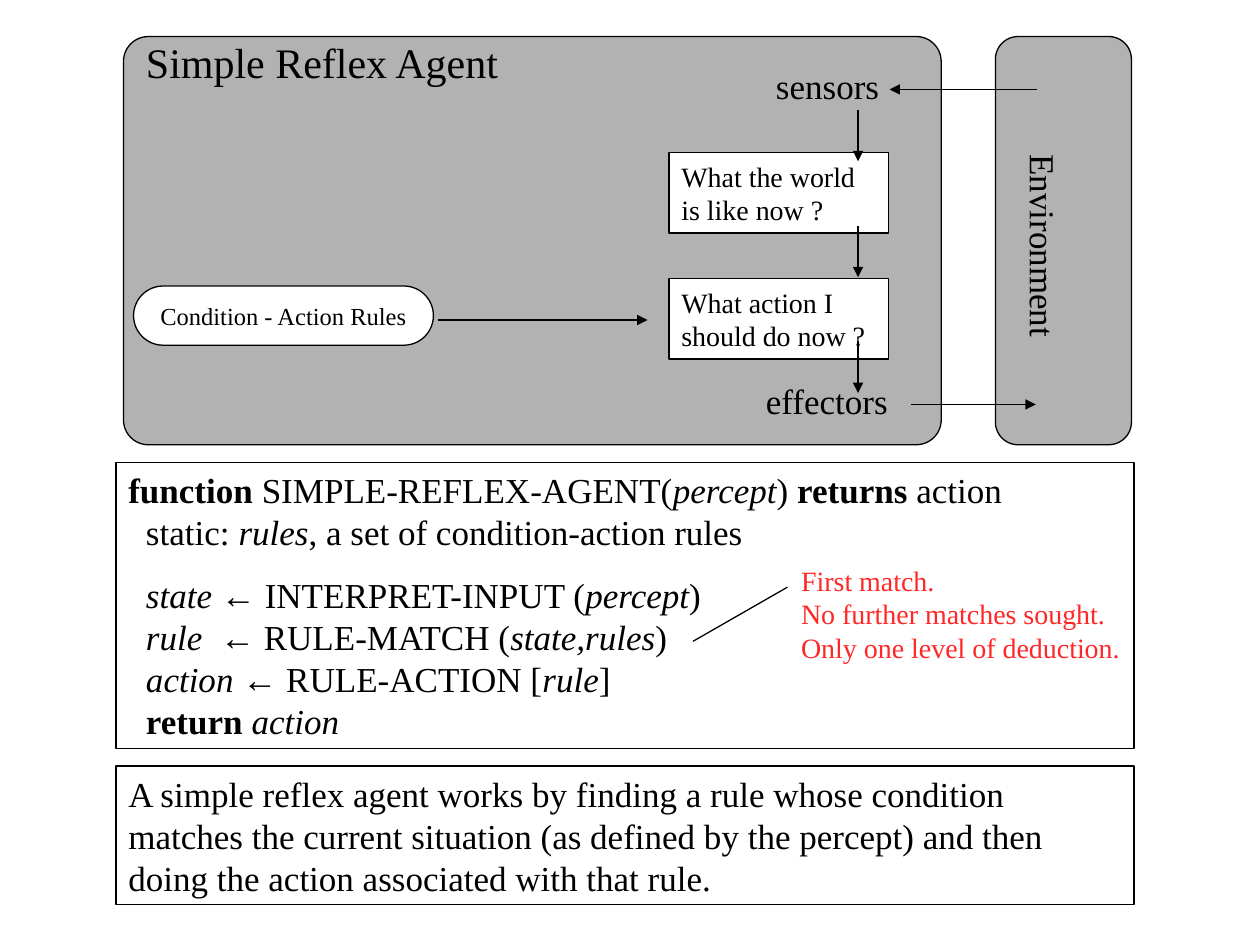
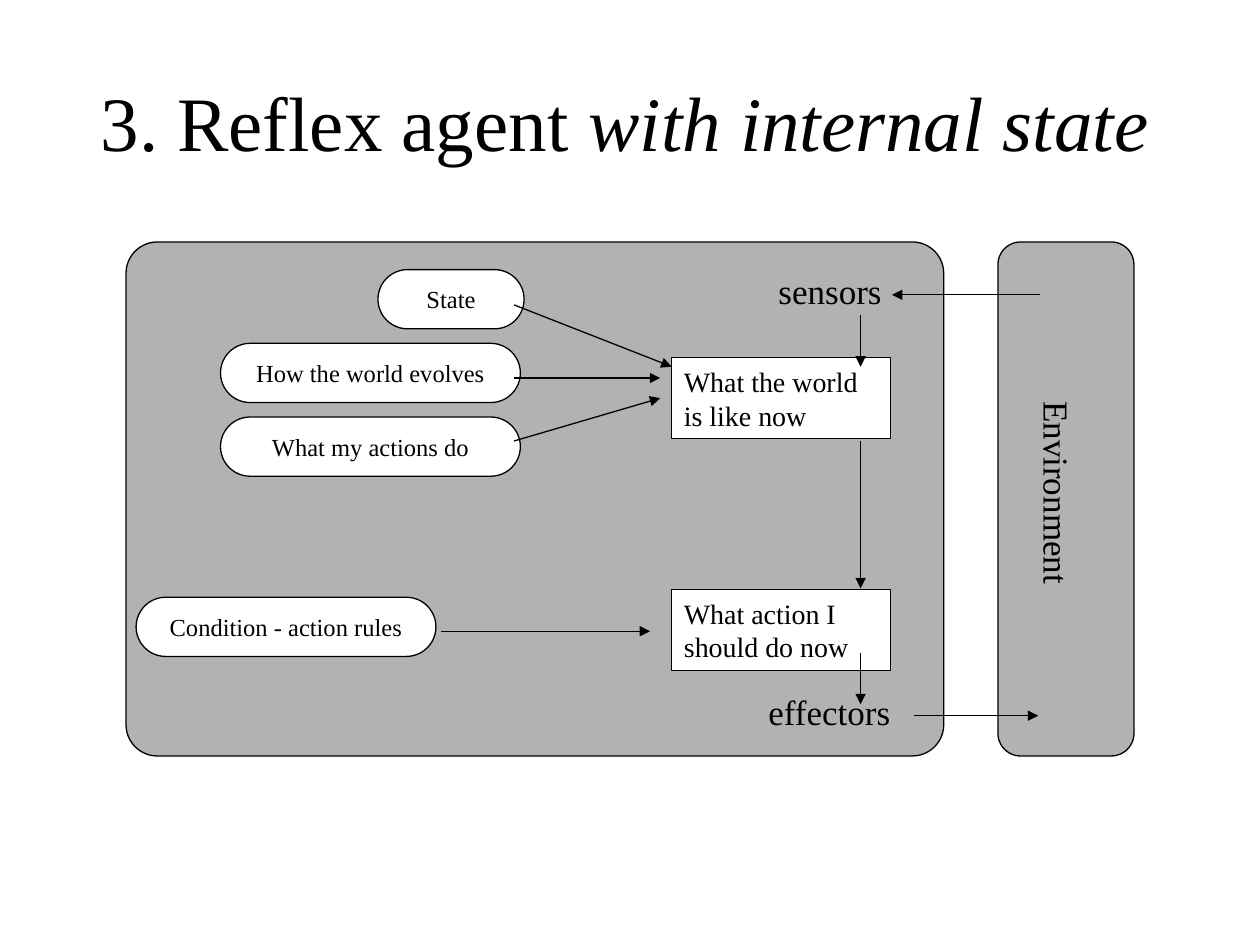
"""Build two slides about simple reflex agents and reflex agents with internal state."""
from lxml import etree
from pptx import Presentation
from pptx.dml.color import RGBColor
from pptx.enum.shapes import MSO_CONNECTOR, MSO_SHAPE
from pptx.enum.text import MSO_ANCHOR, PP_ALIGN
from pptx.oxml.ns import qn
from pptx.util import Inches, Pt

RECTANGLE, ROUNDED = MSO_SHAPE.RECTANGLE, MSO_SHAPE.ROUNDED_RECTANGLE
STRAIGHT = MSO_CONNECTOR.STRAIGHT
TOP, MIDDLE = MSO_ANCHOR.TOP, MSO_ANCHOR.MIDDLE
LEFT, CENTER = PP_ALIGN.LEFT, PP_ALIGN.CENTER

FONT, ARROW_FONT = "Times New Roman", "Arial"
BLACK, WHITE, GRAY, RED = "000000", "FFFFFF", "B2B2B2", "FF2727"
LINE_WIDTH = 0.75
PANEL_WIDTH, ENVIRONMENT_LEFT, ENVIRONMENT_WIDTH = 6.49, 6.92, 1.08
BOX_SIZE, PILL_SIZE, LABEL_HEIGHT = (1.74, 0.64), (2.38, 0.47), 0.44
CODE_INDENT, CODE_GAP = 0.14, 12

SIMPLE_AGENT = {
    "origin": (0.98, 0.29), "height": 3.24,
    "world": "What the world is like now ?",
    "action": "What action I should do now ?",
    "rules": "Condition - Action Rules",
    "decision_start": 1.5, "environment_center": (7.3, 1.66),
}
STATE_AGENT = {
    "origin": (1, 1.92), "height": 4.08,
    "world": "What the world is like now",
    "action": "What action I should do now",
    "rules": "Condition - action rules",
    "decision_start": 1.58, "environment_center": (7.39, 1.99),
}

BOLD, ITALIC, PLAIN, ARROW = "bold", "italic", "plain", "arrow"
FUNCTION_HEADER = [
    ("function", BOLD), (" SIMPLE-REFLEX-AGENT(", PLAIN), ("percept", ITALIC),
    (") ", PLAIN), ("returns", BOLD), (" action", PLAIN),
]
FUNCTION_BODY = [
    [("static: ", PLAIN), ("rules", ITALIC), (", a set of condition-action rules", PLAIN)],
    [("state ", ITALIC), ("←", ARROW), (" INTERPRET-INPUT (", PLAIN),
     ("percept", ITALIC), (")", PLAIN)],
    [("rule  ", ITALIC), ("←", ARROW), (" RULE-MATCH (", PLAIN),
     ("state,rules", ITALIC), (")", PLAIN)],
    [("action ", ITALIC), ("←", ARROW), (" RULE-ACTION [", PLAIN),
     ("rule", ITALIC), ("]", PLAIN)],
    [("return ", BOLD), ("action", ITALIC)],
]
SUMMARY = (
    "A simple reflex agent works by finding a rule whose condition matches the current "
    "situation (as defined by the percept) and then doing the action associated with that rule."
)
MATCH_NOTES = ["First match.", "No further matches sought.", "Only one level of deduction."]
TITLE = [("3. Reflex agent ", PLAIN), ("with internal state", ITALIC)]

KNOWLEDGE = [
    ("State", 3, 1.16),
    ("How the world evolves", 1.75, 2.38),
    ("What my actions do", 1.75, 2.38),
]
KNOWLEDGE_TOP, KNOWLEDGE_STEP = 2.14, 0.585
KNOWLEDGE_ARROWS = [
    ((4.08, 2.42), (5.33, 2.91)),
    ((4.08, 3), (5.24, 3)),
    ((4.08, 3.5), (5.24, 3.16)),
]


def color(value):
    return RGBColor.from_string(value)


def write(shape, lines, size, text_color=BLACK, align=LEFT, anchor=TOP, wrap=True):
    frame = shape.text_frame
    frame.word_wrap = wrap
    frame.vertical_anchor = anchor
    for index, line in enumerate(lines):
        paragraph = frame.paragraphs[0] if index == 0 else frame.add_paragraph()
        paragraph.alignment = align
        paragraph.font.name = FONT
        paragraph.font.size = Pt(size)
        paragraph.font.color.rgb = color(text_color)
        for text, style in [(line, PLAIN)] if isinstance(line, str) else line:
            run = paragraph.add_run()
            run.text = text
            if style == BOLD:
                run.font.bold = True
            elif style == ITALIC:
                run.font.italic = True
            elif style == ARROW:
                run.font.name = ARROW_FONT
    return frame


def add_text(slide, left, top, width, height, lines, size, **options):
    shape = slide.shapes.add_textbox(*map(Inches, (left, top, width, height)))
    write(shape, lines, size, **options)
    return shape


def add_box(slide, kind, left, top, width, height, fill=None, corner=None):
    shape = slide.shapes.add_shape(kind, *map(Inches, (left, top, width, height)))
    shape.shadow.inherit = False
    if fill:
        shape.fill.solid()
        shape.fill.fore_color.rgb = color(fill)
    else:
        shape.fill.background()
    shape.line.color.rgb = color(BLACK)
    shape.line.width = Pt(LINE_WIDTH)
    if corner is not None:
        shape.adjustments[0] = corner
    return shape


def add_pill(slide, left, top, width, text):
    pill = add_box(slide, ROUNDED, left, top, width, PILL_SIZE[1], WHITE, 0.5)
    write(pill, [text], 14, align=CENTER, anchor=MIDDLE)


def add_line(slide, start, end, arrow=True):
    connector = slide.shapes.add_connector(STRAIGHT, *map(Inches, (*start, *end)))
    connector.line.color.rgb = color(BLACK)
    connector.line.width = Pt(LINE_WIDTH)
    if arrow:
        outline = connector.line._get_or_add_ln()
        etree.SubElement(outline, qn("a:tailEnd"), type="triangle")
    etree.SubElement(connector._element.spPr, qn("a:effectLst"))


def add_agent(slide, agent):
    left, top = agent["origin"]
    height = agent["height"]

    def at(x, y):
        return left + x, top + y

    add_box(slide, ROUNDED, left, top, PANEL_WIDTH, height, GRAY, 0.061)
    add_box(slide, ROUNDED, *at(ENVIRONMENT_LEFT, 0), ENVIRONMENT_WIDTH, height, GRAY, 0.167)
    for text, box_top in ((agent["world"], 0.92), (agent["action"], height - 1.32)):
        box = add_box(slide, RECTANGLE, *at(4.33, box_top), *BOX_SIZE, WHITE)
        write(box, [text], 16, anchor=MIDDLE)
    add_pill(slide, *at(0.08, height - 1.26), PILL_SIZE[0], agent["rules"])

    add_text(slide, *at(5.08, 0.17), 1.02, LABEL_HEIGHT, ["sensors"], 20, wrap=False)
    add_text(slide, *at(5, height - 0.57), 1.33, LABEL_HEIGHT, ["effectors"], 20)
    center_x, center_y = agent["environment_center"]
    label_width = 1.65
    label = add_text(slide, *at(center_x - label_width / 2, center_y - LABEL_HEIGHT / 2),
                     label_width, LABEL_HEIGHT, ["Environment"], 20, wrap=False)
    label.rotation = 90

    flow_x = 5.83
    arrows = [
        ((7.25, 0.42), (6.08, 0.42)),
        ((flow_x, 0.58), (flow_x, 0.99)),
        ((flow_x, agent["decision_start"]), (flow_x, height - 1.33)),
        ((2.5, height - 0.99), (4.16, height - 0.99)),
        ((flow_x, height - 0.82), (flow_x, height - 0.41)),
        ((6.25, height - 0.32), (7.24, height - 0.32)),
    ]
    for start, end in arrows:
        add_line(slide, at(*start), at(*end))


def add_simple_slide(slide):
    add_agent(slide, SIMPLE_AGENT)
    add_text(slide, 1.06, 0.24, 3.01, 0.5, ["Simple Reflex Agent"], 24, wrap=False)
    code = add_box(slide, RECTANGLE, 0.92, 3.67, 8.08, 2.27)
    frame = write(code, [FUNCTION_HEADER, *FUNCTION_BODY], 20)
    for paragraph in frame.paragraphs[1:]:
        paragraph._p.get_or_add_pPr().set("marL", str(Inches(CODE_INDENT)))
    frame.paragraphs[2].space_before = Pt(CODE_GAP)
    summary = add_box(slide, RECTANGLE, 0.92, 6.08, 8.08, 1.1)
    write(summary, [SUMMARY], 20)
    add_text(slide, 6.26, 4.42, 2.73, 0.9, MATCH_NOTES, 16, text_color=RED, wrap=False)
    add_line(slide, (5.5, 5.09), (6.25, 4.66), arrow=False)


def add_state_slide(slide):
    add_text(slide, 0.5, 0.33, 8.92, 1.25, [TITLE], 44, align=CENTER, anchor=MIDDLE)
    add_agent(slide, STATE_AGENT)
    for index, (text, left, width) in enumerate(KNOWLEDGE):
        add_pill(slide, left, KNOWLEDGE_TOP + index * KNOWLEDGE_STEP, width, text)
    for start, end in KNOWLEDGE_ARROWS:
        add_line(slide, start, end)


def main():
    presentation = Presentation()
    presentation.slide_width, presentation.slide_height = Inches(10), Inches(7.5)
    blank = presentation.slide_layouts[6]
    for build in (add_simple_slide, add_state_slide):
        build(presentation.slides.add_slide(blank))
    presentation.save("out.pptx")


if __name__ == "__main__":
    main()
